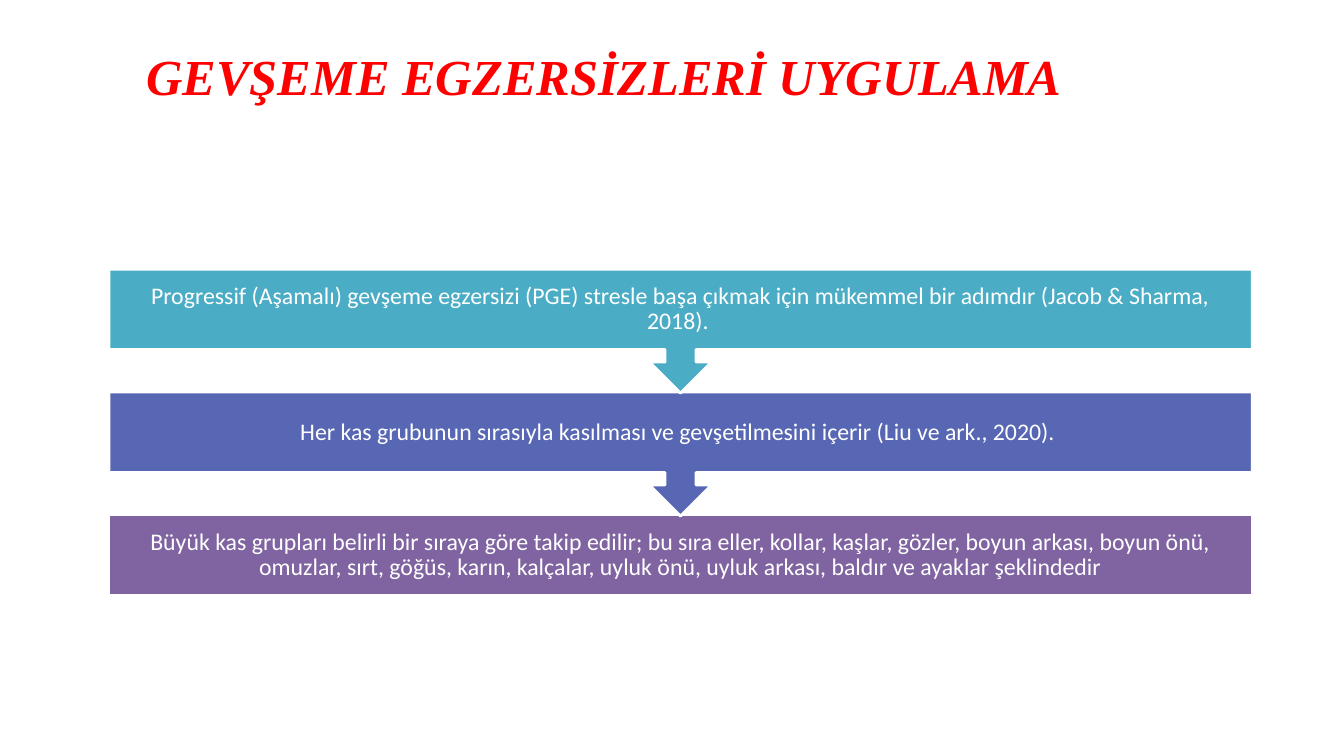
from pptx import Presentation
from pptx.dml.color import RGBColor
from pptx.enum.shapes import MSO_SHAPE as Preset
from pptx.enum.text import MSO_ANCHOR as Anchor, MSO_AUTO_SIZE as AutoSize, PP_ALIGN as Align
from pptx.util import Emu, Pt

EMU_PER_PX = 9144


def px(length):
    return Emu(length * EMU_PER_PX)


def color(value):
    return RGBColor.from_string(value)


class SlideBuilder:
    title_font = "Times New Roman"
    body_font = "Calibri"
    title_color = "FF0000"
    light = "FFFFFF"

    def __init__(self, presentation):
        self.slide = presentation.slides.add_slide(presentation.slide_layouts[5])
        background = self.slide.background.fill
        background.solid()
        background.fore_color.rgb = color(self.light)

    def set_frame(self, frame, margin, anchor):
        frame.word_wrap = True
        frame.auto_size = AutoSize.NONE
        frame.vertical_anchor = anchor
        frame.margin_left = frame.margin_right = px(margin)
        frame.margin_top = frame.margin_bottom = px(margin)

    def add_run(self, paragraph, text, font, size, text_color, emphasis=False):
        run = paragraph.add_run()
        run.text = text
        run.font.name = font
        run.font.size = Pt(size)
        run.font.bold = run.font.italic = emphasis
        run.font.color.rgb = color(text_color)

    def title(self, text, left, top, width, height):
        shape = self.slide.shapes.title
        shape.left, shape.top = px(left), px(top)
        shape.width, shape.height = px(width), px(height)
        self.set_frame(shape.text_frame, 0, Anchor.TOP)
        paragraph = shape.text_frame.paragraphs[0]
        paragraph.alignment = Align.LEFT
        self.add_run(paragraph, text, self.title_font, 36, self.title_color, True)

    def step(self, preset, text, fill, left, top, width, height):
        shape = self.slide.shapes.add_shape(
            preset, px(left), px(top), px(width), px(height))
        shape.shadow.inherit = False
        shape.fill.solid()
        shape.fill.fore_color.rgb = color(fill)
        shape.line.color.rgb = color(self.light)
        shape.line.width = Pt(2)
        self.set_frame(shape.text_frame, 13, Anchor.MIDDLE)
        paragraph = shape.text_frame.paragraphs[0]
        paragraph.alignment = Align.CENTER
        paragraph.line_spacing = 0.9
        self.add_run(paragraph, text, self.body_font, 17, self.light)


STEPS = [
    ("Progressif (Aşamalı) gevşeme egzersizi (PGE) stresle başa çıkmak için "
     "mükemmel bir adımdır (Jacob & Sharma, 2018). ", "4BACC6"),
    ("Her kas grubunun sırasıyla kasılması ve gevşetilmesini içerir "
     "(Liu ve ark., 2020). ", "5767B4"),
    ("Büyük kas grupları belirli bir sıraya göre takip edilir; bu sıra eller, "
     "kollar, kaşlar, gözler, boyun arkası, boyun önü, omuzlar, sırt, göğüs, "
     "karın, kalçalar, uyluk önü, uyluk arkası, baldır ve ayaklar şeklindedir",
     "8064A2"),
]
FIRST_TOP, STEP_PITCH = 267, 122
BOX_HEIGHT, CALLOUT_HEIGHT = 80, 123


def main():
    presentation = Presentation()
    presentation.slide_width = px(1333)
    presentation.slide_height = px(750)
    builder = SlideBuilder(presentation)
    builder.title("GEVŞEME EGZERSİZLERİ UYGULAMA", 145, 45, 1043, 61)
    last = len(STEPS) - 1
    for index, (text, fill) in reversed(list(enumerate(STEPS))):
        preset, height = ((Preset.RECTANGLE, BOX_HEIGHT) if index == last
                          else (Preset.DOWN_ARROW_CALLOUT, CALLOUT_HEIGHT))
        builder.step(preset, text, fill, 108, FIRST_TOP + index * STEP_PITCH,
                     1134, height)
    presentation.save("out.pptx")


if __name__ == "__main__":
    main()
